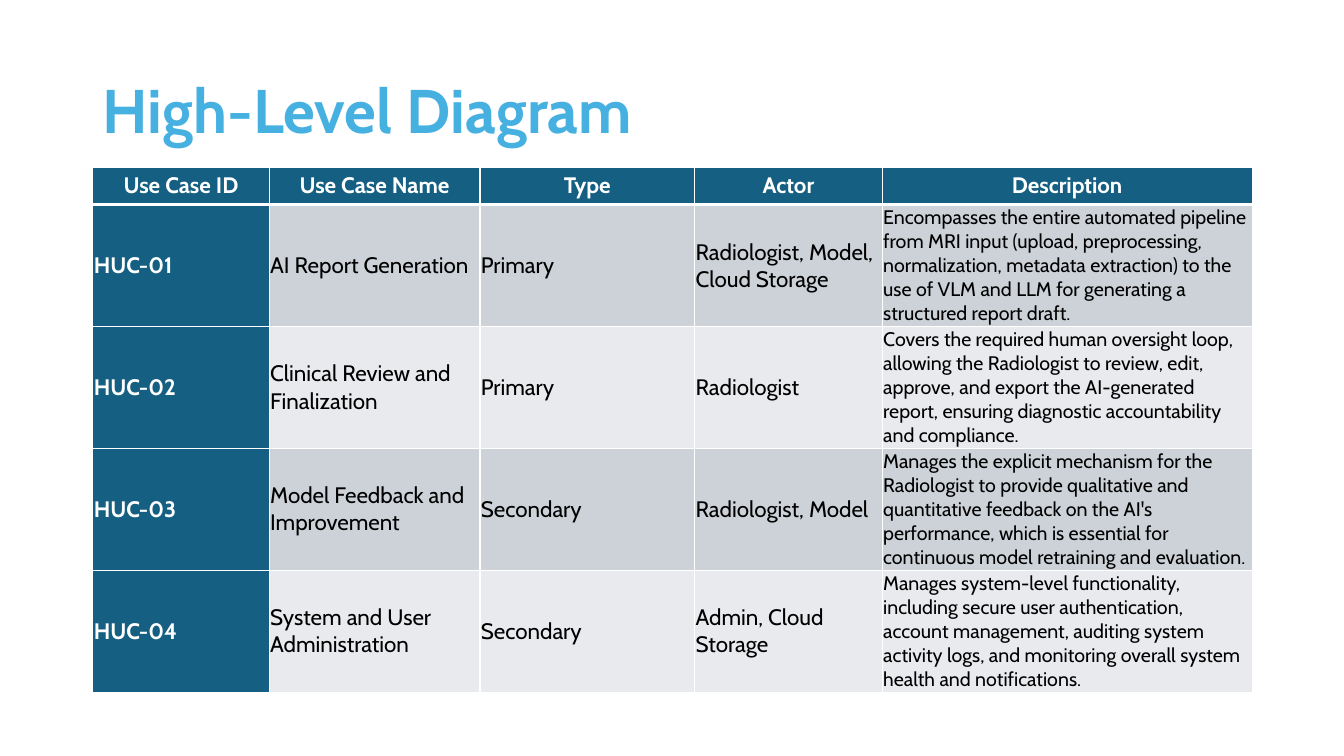
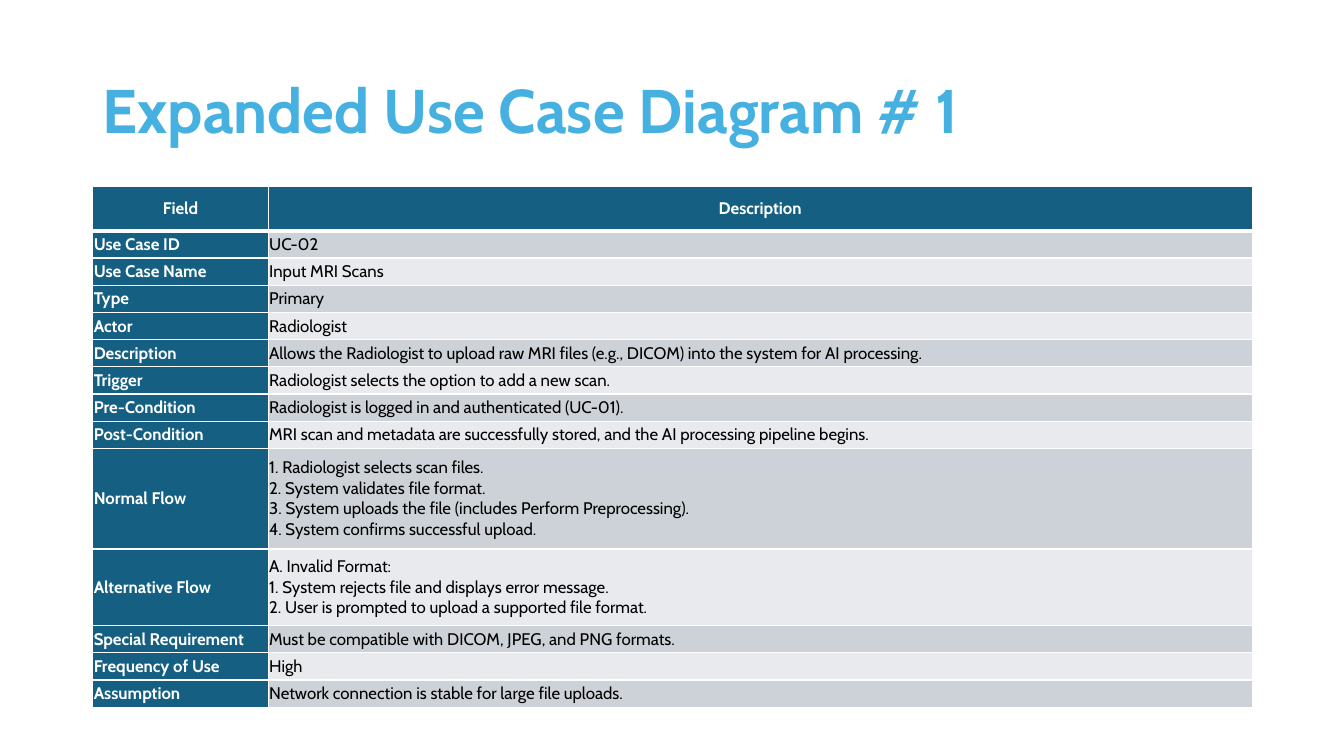
from dataclasses import dataclass

from lxml.etree import SubElement
from pptx import Presentation
from pptx.dml.color import RGBColor
from pptx.enum.text import MSO_ANCHOR, PP_ALIGN
from pptx.oxml.ns import qn
from pptx.util import Inches, Pt


@dataclass(frozen=True)
class Theme:
    font: str = "Cabin"
    title: str = "46B1E1"
    header: str = "156082"
    bands: tuple = ("CCD2D8", "E8EAED")
    light: str = "FFFFFF"
    dark: str = "000000"
    title_size: int = 44
    large: int = 16
    medium: int = 14
    small: int = 12
    rule: int = 1
    header_rule: int = 3


theme = Theme()
LEFT, WIDTH, INSET = 0.92, 11.5, 0.01

slides = [
    dict(
        title="High-Level Diagram",
        top=1.66,
        cols=[1.75, 2.09, 2.13, 1.86, 3.67],
        heights=[0.37] + [1.21] * 4,
        sizes=[theme.large] * 4 + [theme.medium],
        header_size=theme.large,
        rows=[
            ("Use Case ID", "Use Case Name", "Type", "Actor", "Description"),
            ("HUC-01", "AI Report Generation", "Primary", "Radiologist, Model, Cloud Storage",
             "Encompasses the entire automated pipeline from MRI input (upload, preprocessing, "
             "normalization, metadata extraction) to the use of VLM and LLM for generating a "
             "structured report draft."),
            ("HUC-02", "Clinical Review and Finalization", "Primary", "Radiologist",
             "Covers the required human oversight loop, allowing the Radiologist to review, edit, "
             "approve, and export the AI-generated report, ensuring diagnostic accountability "
             "and compliance."),
            ("HUC-03", "Model Feedback and Improvement", "Secondary", "Radiologist, Model",
             "Manages the explicit mechanism for the Radiologist to provide qualitative and "
             "quantitative feedback on the AI's performance, which is essential for "
             "continuous model retraining and evaluation."),
            ("HUC-04", "System and User Administration", "Secondary", "Admin, Cloud Storage",
             "Manages system-level functionality, including secure user authentication, "
             "account management, auditing system activity logs, and monitoring overall system "
             "health and notifications."),
        ],
    ),
    dict(
        title="Expanded Use Case Diagram # 1",
        top=1.85,
        cols=[1.74, 9.76],
        heights=[0.44] + [0.27] * 8 + [1, 0.76] + [0.27] * 3,
        sizes=[theme.small] * 2,
        header_size=theme.small,
        rows=[
            ("Field", "Description"),
            ("Use Case ID", "UC-02"),
            ("Use Case Name", "Input MRI Scans"),
            ("Type", "Primary"),
            ("Actor", "Radiologist"),
            ("Description", "Allows the Radiologist to upload raw MRI files (e.g., DICOM) "
                            "into the system for AI processing."),
            ("Trigger", "Radiologist selects the option to add a new scan."),
            ("Pre-Condition", "Radiologist is logged in and authenticated (UC-01)."),
            ("Post-Condition", "MRI scan and metadata are successfully stored, "
                               "and the AI processing pipeline begins."),
            ("Normal Flow", "1. Radiologist selects scan files.\n"
                            "2. System validates file format.\n"
                            "3. System uploads the file (includes Perform Preprocessing).\n"
                            "4. System confirms successful upload."),
            ("Alternative Flow", "A. Invalid Format:\n"
                                 "1. System rejects file and displays error message.\n"
                                 "2. User is prompted to upload a supported file format."),
            ("Special Requirement", "Must be compatible with DICOM, JPEG, and PNG formats."),
            ("Frequency of Use", "High"),
            ("Assumption", "Network connection is stable for large file uploads."),
        ],
    ),
]


def set_font(p, size, color, bold):
    p.font.name = theme.font
    p.font.size = Pt(size)
    p.font.bold = bold
    p.font.color.rgb = RGBColor.from_string(color)


def set_borders(cell, top, bottom):
    """Draw light rules on all four sides; call before filling the cell."""
    tcPr = cell._tc.get_or_add_tcPr()
    for side, width in (("L", theme.rule), ("R", theme.rule), ("T", top), ("B", bottom)):
        ln = SubElement(tcPr, qn(f"a:ln{side}"), w=str(Pt(width)))
        fill = SubElement(ln, qn("a:solidFill"))
        SubElement(fill, qn("a:srgbClr"), val=theme.light)


prs = Presentation()
prs.slide_width, prs.slide_height = Inches(13.33), Inches(7.5)

for data in slides:
    s = prs.slides.add_slide(prs.slide_layouts[6])

    tf = s.shapes.add_textbox(Inches(LEFT), Inches(0.4), Inches(WIDTH), Inches(1.45)).text_frame
    tf.word_wrap = True
    tf.vertical_anchor = MSO_ANCHOR.MIDDLE
    p = tf.paragraphs[0]
    p.text = data["title"]
    p.line_spacing = 0.9
    set_font(p, theme.title_size, theme.title, True)

    rows, cols, heights = data["rows"], data["cols"], data["heights"]
    table = s.shapes.add_table(len(rows), len(cols), Inches(LEFT), Inches(data["top"]),
                               Inches(WIDTH), Inches(sum(heights))).table
    table.first_col = True
    for column, width in zip(table.columns, cols):
        column.width = Inches(width)

    for i, texts in enumerate(rows):
        table.rows[i].height = Inches(heights[i])
        for j, text in enumerate(texts):
            is_header = i == 0
            is_label = is_header or j == 0
            cell = table.cell(i, j)
            set_borders(cell,
                        top=theme.header_rule if i == 1 else theme.rule,
                        bottom=theme.header_rule if is_header else theme.rule)
            cell.fill.solid()
            cell.fill.fore_color.rgb = RGBColor.from_string(
                theme.header if is_label else theme.bands[(i - 1) % 2])
            cell.margin_left = cell.margin_right = Inches(INSET)
            cell.margin_top = cell.margin_bottom = Inches(INSET)
            cell.vertical_anchor = MSO_ANCHOR.MIDDLE
            cell.text = text
            for p in cell.text_frame.paragraphs:
                p.alignment = PP_ALIGN.CENTER if is_header else PP_ALIGN.LEFT
                set_font(p, data["header_size"] if is_header else data["sizes"][j],
                         theme.light if is_label else theme.dark, is_label)

prs.save("out.pptx")
